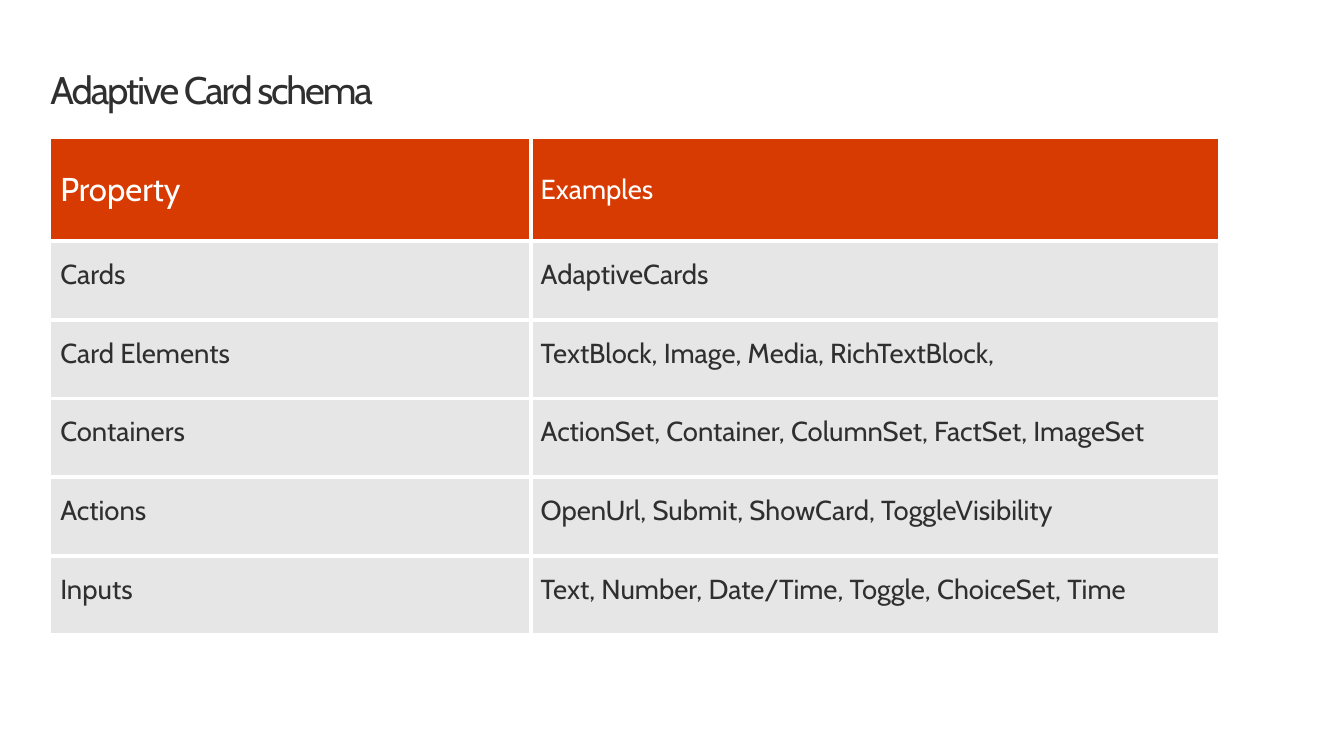
from dataclasses import dataclass

from lxml.etree import SubElement
from pptx import Presentation
from pptx.dml.color import RGBColor
from pptx.enum.text import MSO_ANCHOR, MSO_AUTO_SIZE, PP_ALIGN
from pptx.oxml.ns import qn
from pptx.util import Pt

FACE = "Cabin"
INK, WHITE, HEAD, BODY = "2F2F2F", "FFFFFF", "D83B01", "E6E6E6"
LEFT = Pt(36.7)
WIDTHS = (350, 501)
TOP, HEAD_HIGH, BODY_HIGH = 100.8, 75, 57.3


@dataclass
class Style:
    size: float
    color: str
    line: float | None = None


@dataclass
class Row:
    name: str
    items: str


ROWS = [
    Row("Property", "Examples"),
    Row("Cards", "AdaptiveCards"),
    Row("Card Elements", "TextBlock, Image, Media, RichTextBlock,"),
    Row("Containers", "ActionSet, Container, ColumnSet, FactSet, ImageSet"),
    Row("Actions", "OpenUrl, Submit, ShowCard, ToggleVisibility"),
    Row("Inputs", "Text, Number, Date/Time, Toggle, ChoiceSet, Time"),
]


def paint(hue: str) -> RGBColor:
    return RGBColor.from_string(hue)


def assign(target, values: dict) -> None:
    for key, value in values.items():
        setattr(target, key, value)


def write(frame, text: str, style: Style):
    para = frame.paragraphs[0]
    para.alignment = PP_ALIGN.LEFT
    if style.line:
        para.line_spacing = Pt(style.line)
    run = para.add_run()
    run.text = text
    assign(run.font, {"name": FACE, "size": Pt(style.size), "bold": False})
    run.font.color.rgb = paint(style.color)
    return run


def border(cell, sides: str) -> None:
    props = cell._tc.get_or_add_tcPr()
    for side in sides:
        line = SubElement(props, qn(f"a:ln{side}"), w=str(Pt(3)))
        fill = SubElement(line, qn("a:solidFill"))
        SubElement(fill, qn("a:srgbClr"), val=WHITE)


def add_title(slide) -> None:
    title = slide.shapes.title
    assign(title, {"left": LEFT, "top": Pt(49.7),
                   "width": Pt(908), "height": Pt(32.4)})
    frame = title.text_frame
    assign(frame, {"margin_left": 0, "margin_right": 0, "margin_top": 0,
                   "margin_bottom": 0, "word_wrap": True,
                   "vertical_anchor": MSO_ANCHOR.TOP,
                   "auto_size": MSO_AUTO_SIZE.SHAPE_TO_FIT_TEXT})
    run = write(frame, "Adaptive Card schema", Style(28, INK, 32))
    run._r.get_or_add_rPr().set("spc", "-150")


def add_grid(slide) -> None:
    high = HEAD_HIGH + BODY_HIGH * (len(ROWS) - 1)
    table = slide.shapes.add_table(
        len(ROWS), len(WIDTHS), LEFT, Pt(TOP), Pt(sum(WIDTHS)), Pt(high)).table
    assign(table, {"first_row": False, "horz_banding": False})
    for column, width in zip(table.columns, WIDTHS):
        column.width = Pt(width)

    for r, row in enumerate(ROWS):
        table.rows[r].height = Pt(BODY_HIGH if r else HEAD_HIGH)
        for c, text in enumerate((row.name, row.items)):
            cell = table.cell(r, c)
            cell.vertical_anchor = MSO_ANCHOR.MIDDLE
            border(cell, ("L" if c else "R") + ("TB" if r else "B"))
            cell.fill.solid()
            cell.fill.fore_color.rgb = paint(BODY if r else HEAD)
            style = Style(20, INK, 16) if r else Style(20 if c else 24, WHITE)
            write(cell.text_frame, text, style)


def main() -> None:
    deck = Presentation()
    assign(deck, {"slide_width": Pt(979.2), "slide_height": Pt(550.8)})
    slide = deck.slides.add_slide(deck.slide_layouts[5])
    # Heading
    add_title(slide)
    # Schema table
    add_grid(slide)
    deck.save("out.pptx")


if __name__ == "__main__":
    main()
